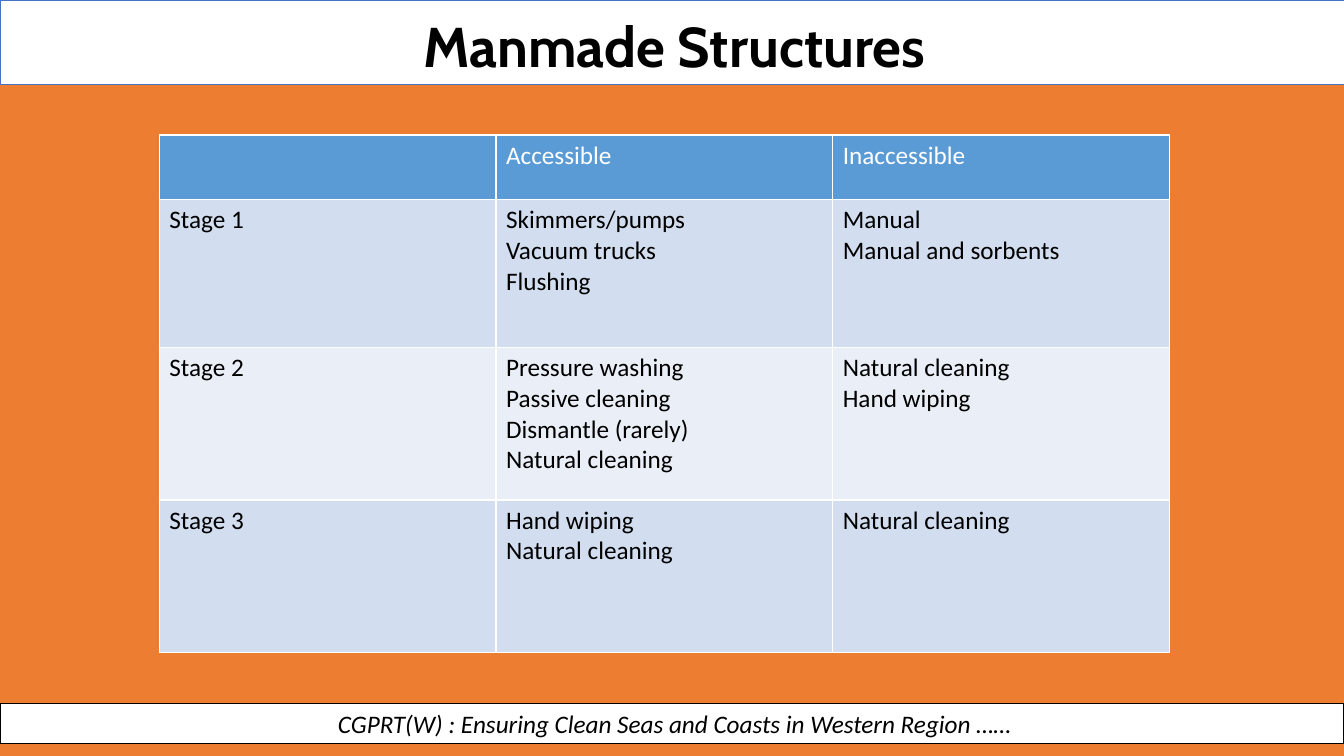
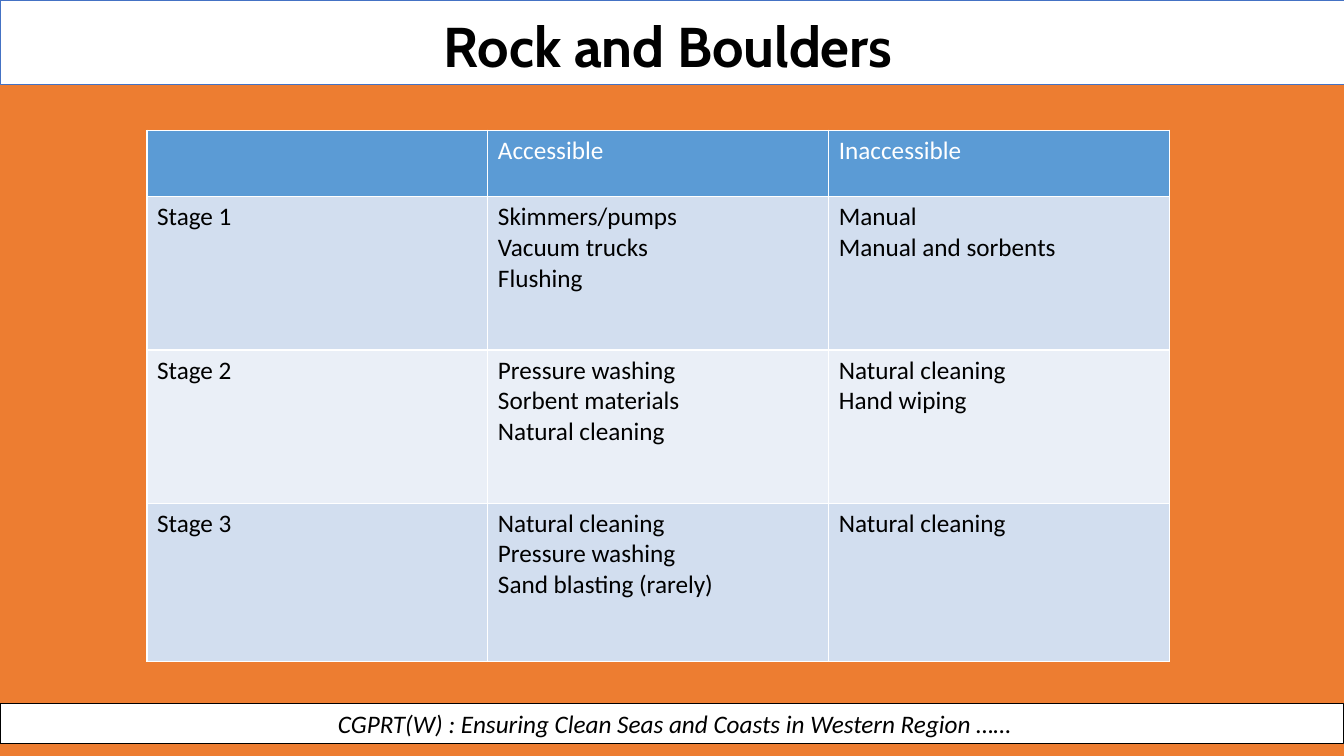
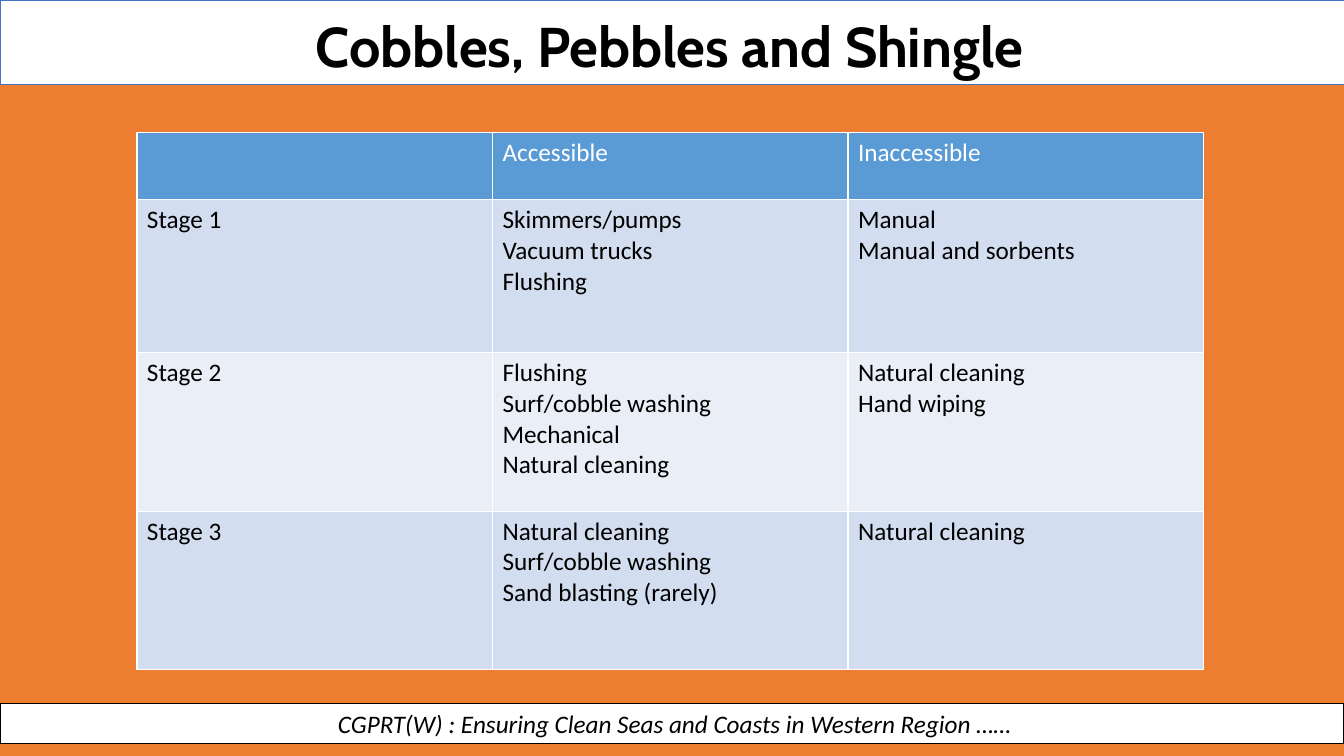
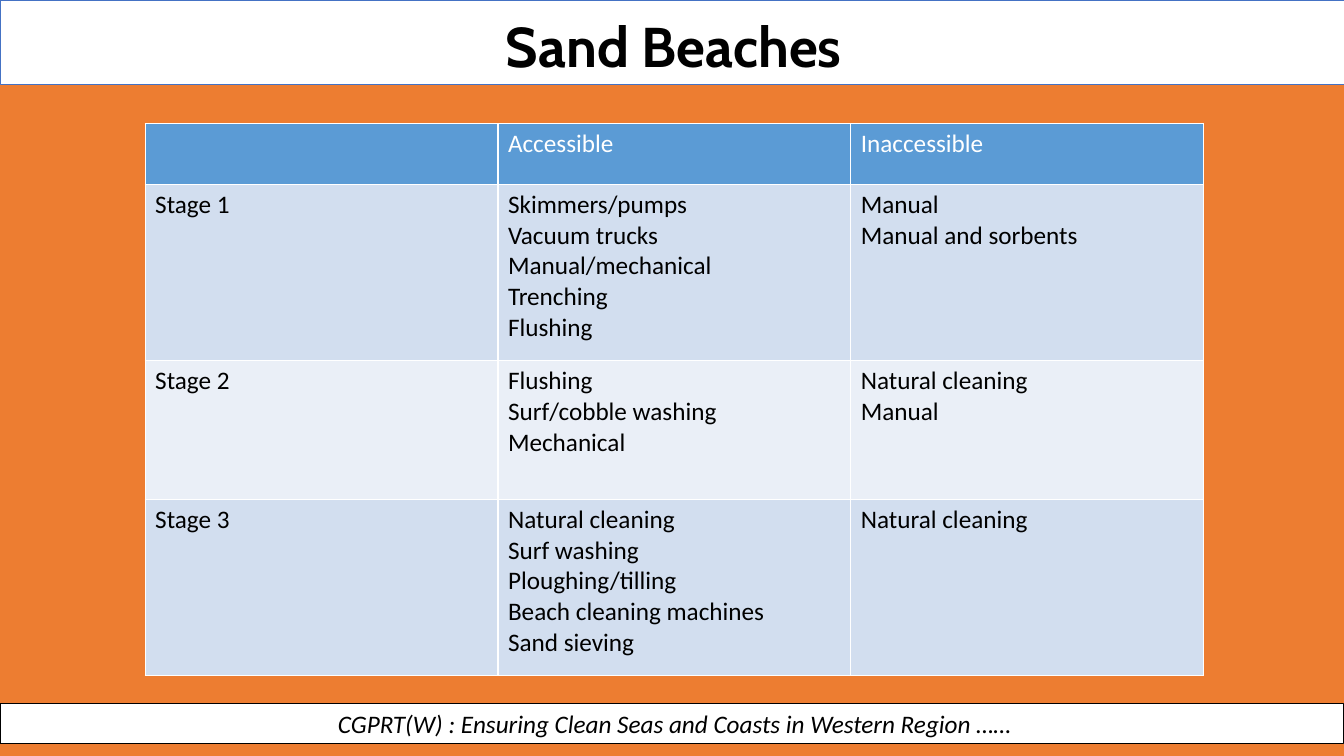
from lxml.etree import SubElement
from pptx import Presentation
from pptx.dml.color import RGBColor
from pptx.enum.shapes import MSO_SHAPE
from pptx.enum.text import MSO_ANCHOR, PP_ALIGN
from pptx.oxml.ns import qn
from pptx.util import Pt

ORANGE = RGBColor(0xED, 0x7D, 0x31)
WHITE = RGBColor(0xFF, 0xFF, 0xFF)
BLACK = RGBColor(0x00, 0x00, 0x00)
TITLE_LINE = RGBColor(0x44, 0x72, 0xC4)
HEADER_FILL = RGBColor(0x5B, 0x9B, 0xD5)
BAND_FILLS = RGBColor(0xD2, 0xDE, 0xEF), RGBColor(0xEA, 0xEF, 0xF7)

WIDTH, HEIGHT = 960, 540
FOOTER = "CGPRT(W) : Ensuring Clean Seas and Coasts in Western Region ……"
HEADINGS = [[], ["Accessible"], ["Inaccessible"]]
FIRST_ACCESSIBLE = ["Skimmers/pumps", "Vacuum trucks", "Flushing"]
FIRST_INACCESSIBLE = ["Manual", "Manual and sorbents"]

SLIDES = [
    {
        "title": "Manmade Structures", "title_width": 891.4,
        "left": 113.8, "top": 96.5, "column": 240.5,
        "rows": [46, 105.8, 108.9, 108.9],
        "stages": [
            (FIRST_ACCESSIBLE, FIRST_INACCESSIBLE),
            (["Pressure washing", "Passive cleaning", "Dismantle (rarely)", "Natural cleaning"],
             ["Natural cleaning", "Hand wiping"]),
            (["Hand wiping", "Natural cleaning"], ["Natural cleaning"]),
        ],
    },
    {
        "title": "Rock and Boulders", "title_width": 882.7,
        "left": 105, "top": 93, "column": 243.5,
        "rows": [47.6, 109.4, 109.4, 113],
        "stages": [
            (FIRST_ACCESSIBLE, FIRST_INACCESSIBLE),
            (["Pressure washing", "Sorbent materials", "Natural cleaning"],
             ["Natural cleaning", "Hand wiping"]),
            (["Natural cleaning", "Pressure washing", "Sand blasting (rarely)"],
             ["Natural cleaning"]),
        ],
    },
    {
        "title": "Cobbles, Pebbles and Shingle", "title_width": 884.9,
        "left": 97.8, "top": 94.5, "column": 254,
        "rows": [48, 109.4, 113.2, 113.2],
        "stages": [
            (FIRST_ACCESSIBLE, FIRST_INACCESSIBLE),
            (["Flushing", "Surf/cobble washing", "Mechanical", "Natural cleaning"],
             ["Natural cleaning", "Hand wiping"]),
            (["Natural cleaning", "Surf/cobble washing", "Sand blasting (rarely)"],
             ["Natural cleaning"]),
        ],
    },
    {
        "title": "Sand Beaches", "title_width": 890.6,
        "left": 103.7, "top": 88.4, "column": 252,
        "rows": [43.3, 125.8, 99.2, 125.8],
        "stages": [
            (["Skimmers/pumps", "Vacuum trucks", "Manual/mechanical", "Trenching", "Flushing"],
             FIRST_INACCESSIBLE),
            (["Flushing", "Surf/cobble washing", "Mechanical"],
             ["Natural cleaning", "Manual"]),
            (["Natural cleaning", "Surf washing", "Ploughing/tilling",
              "Beach cleaning machines", "Sand sieving"], ["Natural cleaning"]),
        ],
    },
]


def write(frame, lines, size=18, font="Calibri", color=BLACK, bold=False,
          italic=False, align=PP_ALIGN.LEFT, spacing=None):
    """Write each line as one formatted paragraph of the frame."""
    frame.word_wrap = True
    for index, line in enumerate(lines):
        para = frame.add_paragraph() if index else frame.paragraphs[0]
        para.alignment = align
        para.line_spacing = spacing
        span = para.add_run()
        span.text = line
        span.font.size = Pt(size)
        span.font.name = font
        span.font.bold = bold
        span.font.italic = italic
        span.font.color.rgb = color


def add_band(page, top, height, line_color, line_width):
    """Add a white band across the page."""
    band = page.shapes.add_shape(MSO_SHAPE.RECTANGLE, 0, Pt(top), Pt(WIDTH), Pt(height))
    band.shadow.inherit = False
    band.fill.solid()
    band.fill.fore_color.rgb = WHITE
    band.line.color.rgb = line_color
    band.line.width = Pt(line_width)
    return band


def add_frame(page, title, title_width):
    """Add the footer band, the title band and the title."""
    footer = add_band(page, 502.6, 28.8, BLACK, 0.75).text_frame
    footer.vertical_anchor = MSO_ANCHOR.MIDDLE
    footer.margin_left = Pt(11.2)
    write(footer, [FOOTER], italic=True, align=PP_ALIGN.CENTER)
    add_band(page, 0, 60.5, TITLE_LINE, 0.5)
    box = page.shapes.add_textbox(Pt(36), Pt(10), Pt(title_width), Pt(44))
    write(box.text_frame, [title], size=40, font="Cabin", bold=True,
          align=PP_ALIGN.CENTER, spacing=0.9)


def style_cell(cell, fill):
    """Give a cell thin white borders and a fill."""
    properties = cell._tc.get_or_add_tcPr()
    for side in ("a:lnL", "a:lnR", "a:lnT", "a:lnB"):
        border = SubElement(properties, qn(side), w=str(Pt(1)))
        SubElement(SubElement(border, qn("a:solidFill")), qn("a:srgbClr"), val=str(WHITE))
    cell.fill.solid()
    cell.fill.fore_color.rgb = fill


def add_stage_table(page, left, top, column, rows, stages):
    """Add the table of cleaning methods for each stage."""
    content = [HEADINGS] + [
        [[f"Stage {number}"], *methods] for number, methods in enumerate(stages, 1)
    ]
    table = page.shapes.add_table(len(content), len(HEADINGS), Pt(left), Pt(top),
                                  Pt(column * len(HEADINGS)), Pt(sum(rows))).table
    for table_column in table.columns:
        table_column.width = Pt(column)
    for row, (height, entries) in enumerate(zip(rows, content)):
        table.rows[row].height = Pt(height)
        fill = BAND_FILLS[(row - 1) % 2] if row else HEADER_FILL
        for index, lines in enumerate(entries):
            cell = table.cell(row, index)
            style_cell(cell, fill)
            write(cell.text_frame, lines, color=BLACK if row else WHITE)


def main():
    """Build and save the deck."""
    deck = Presentation()
    deck.slide_width, deck.slide_height = Pt(WIDTH), Pt(HEIGHT)
    background = deck.slide_master.background.fill
    background.solid()
    background.fore_color.rgb = ORANGE
    for slide in SLIDES:
        page = deck.slides.add_slide(deck.slide_layouts[6])
        add_frame(page, slide["title"], slide["title_width"])
        add_stage_table(page, slide["left"], slide["top"], slide["column"],
                        slide["rows"], slide["stages"])
    deck.save("out.pptx")


if __name__ == "__main__":
    main()
